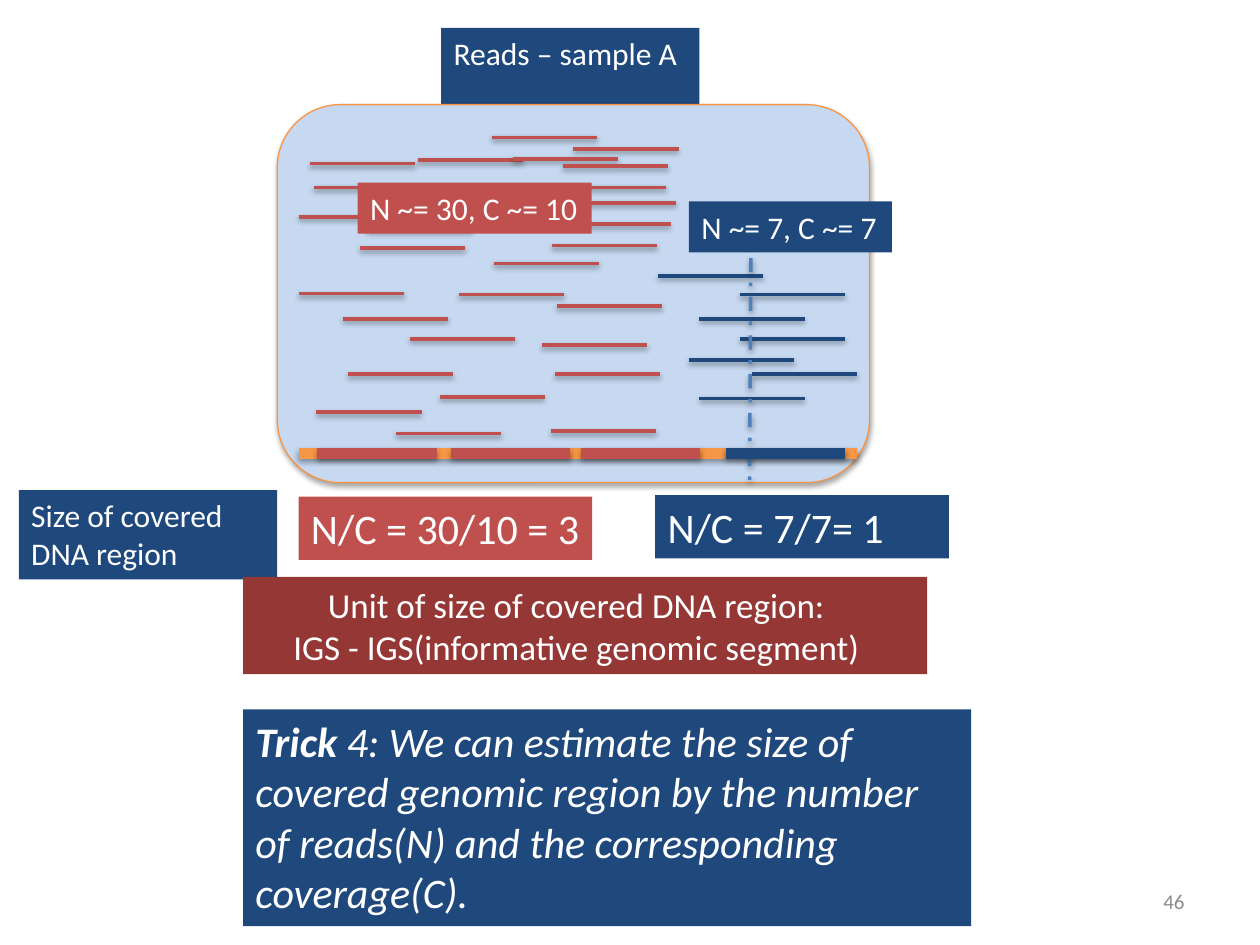
import pptx
import pptx.dml.color
import pptx.enum.dml
import pptx.enum.shapes
import pptx.enum.text
import pptx.util

Cm = pptx.util.Cm
Pt = pptx.util.Pt
RGBColor = pptx.dml.color.RGBColor
PP_ALIGN = pptx.enum.text.PP_ALIGN
MSO_ANCHOR = pptx.enum.text.MSO_ANCHOR
MSO_AUTO_SIZE = pptx.enum.text.MSO_AUTO_SIZE

NAVY = RGBColor(0x1F, 0x49, 0x7D)
RED = RGBColor(0xC0, 0x50, 0x4D)
DARK_RED = RGBColor(0x95, 0x37, 0x35)
ORANGE = RGBColor(0xF7, 0x96, 0x46)
PALE_BLUE = RGBColor(0xC6, 0xD9, 0xF1)
BLUE = RGBColor(0x4F, 0x81, 0xBD)
GRAY = RGBColor(0x8C, 0x8C, 0x8C)
WHITE = RGBColor(0xFF, 0xFF, 0xFF)

READ_LENGTH = 2.12
SEGMENT_LENGTH = 2.41
GENOME_Y = 9.14

# Left end and height of each read, in centimetres
RED_READS = [
    (6.25, 3.30), (6.32, 3.78), (7.39, 4.62), (8.43, 3.23), (9.91, 2.77),
    (11.10, 8.69), (9.37, 4.32), (11.56, 3.00), (11.51, 4.09), (7.98, 8.74),
    (6.02, 4.37), (6.02, 5.92), (11.30, 3.78), (10.34, 3.20), (11.13, 4.95),
    (9.25, 5.94), (11.40, 4.52), (6.38, 8.31), (8.48, 3.78), (6.91, 6.43),
    (7.01, 7.54), (9.96, 5.31), (11.35, 3.35), (7.26, 5.00), (8.86, 8.00),
    (8.26, 6.83), (11.23, 6.17), (10.92, 6.96), (11.18, 7.54),
]
NAVY_READS = [
    (14.10, 8.03), (14.10, 6.43), (13.26, 5.56), (14.91, 6.83),
    (15.16, 7.54), (14.91, 5.94), (13.89, 7.26),
]

prs = pptx.Presentation()
prs.slide_width = Cm(25.4)
prs.slide_height = Cm(19.05)
slide = prs.slides.add_slide(prs.slide_layouts[5])
shapes = slide.shapes


def add_text(text, left, top, width, height, fill=None, size=18, color=WHITE,
             align=PP_ALIGN.LEFT, anchor=MSO_ANCHOR.TOP, wrap=True,
             italic=False, bold_start="", margin_right=0.25, box=None):
    """Write text in a new box, or in the given placeholder."""
    if box is None:
        box = shapes.add_textbox(0, 0, 0, 0)
    box.left, box.top, box.width, box.height = Cm(left), Cm(top), Cm(width), Cm(height)
    if fill is not None:
        box.fill.solid()
        box.fill.fore_color.rgb = fill
    frame = box.text_frame
    frame.word_wrap = wrap
    frame.auto_size = MSO_AUTO_SIZE.SHAPE_TO_FIT_TEXT if fill is not None else MSO_AUTO_SIZE.NONE
    frame.vertical_anchor = anchor
    frame.margin_right = Cm(margin_right)
    paragraph = frame.paragraphs[0]
    paragraph.alignment = align
    if bold_start:
        start = paragraph.add_run()
        start.text = bold_start
        start.font.bold = True
    for index, line in enumerate(text.split("\n")):
        if index:
            paragraph.add_line_break()
        paragraph.add_run().text = line
    for run in paragraph.runs:
        run.font.name = "Calibri"
        run.font.size = Pt(size)
        run.font.color.rgb = color
        run.font.italic = italic


def add_line(x1, y1, x2, y2, color, width=2):
    """Draw a straight line that keeps the theme's soft shadow."""
    line = shapes.add_connector(pptx.enum.shapes.MSO_CONNECTOR.STRAIGHT,
                                Cm(x1), Cm(y1), Cm(x2), Cm(y2))
    line.line.color.rgb = color
    line.line.width = Pt(width)
    return line


add_text("Reads – sample A", 8.89, 0.56, 5.21, 1.03, fill=NAVY, box=shapes.title)

# The panel keeps the theme's shadow
sample = shapes.add_shape(pptx.enum.shapes.MSO_SHAPE.ROUNDED_RECTANGLE,
                          Cm(5.59), Cm(2.11), Cm(11.94), Cm(7.62))
sample.fill.solid()
sample.fill.fore_color.rgb = PALE_BLUE
sample.line.color.rgb = ORANGE
sample.line.width = Pt(0.75)

for reads, color in ((RED_READS, RED), (NAVY_READS, NAVY)):
    for x, y in reads:
        add_line(x, y, x + READ_LENGTH, y, color)

add_line(6.02, GENOME_Y, 17.27, GENOME_Y, ORANGE, width=6)
position = add_line(15.14, 4.42, 15.11, 9.88, BLUE)
position.line.dash_style = pptx.enum.dml.MSO_LINE.DASH_DOT

for x, color in ((14.63, NAVY), (11.71, RED), (9.09, RED), (6.40, RED)):
    add_line(x, GENOME_Y, x + SEGMENT_LENGTH, GENOME_Y, color, width=6)

add_text("N ~= 7, C ~= 7", 13.89, 4.06, 4.09, 1.03, fill=NAVY, wrap=False)
add_text("N ~= 30, C ~= 10", 7.21, 3.68, 4.72, 1.03, fill=RED, wrap=False)
add_text("Size of covered DNA region", 0.38, 9.88, 5.21, 1.8, fill=NAVY)
add_text("N/C = 30/10 = 3", 6.02, 10.01, 5.92, 1.28, fill=RED, size=24)
add_text("N/C = 7/7= 1", 13.21, 9.98, 5.92, 1.28, fill=NAVY, size=24)
add_text("Unit of size of covered DNA region:\nIGS - IGS(informative genomic segment)",
         4.9, 11.63, 13.79, 1.96, fill=DARK_RED, size=20,
         align=PP_ALIGN.CENTER, margin_right=0.6)
add_text("4: We can estimate the size of covered genomic region by the number "
         "of reads(N) and the corresponding coverage(C).",
         4.9, 14.3, 14.68, 4.37, fill=NAVY, size=24, italic=True, bold_start="Trick ")
add_text("46", 18.21, 17.65, 5.92, 1.02, size=12, color=GRAY,
         align=PP_ALIGN.RIGHT, anchor=MSO_ANCHOR.MIDDLE)

prs.save("out.pptx")
